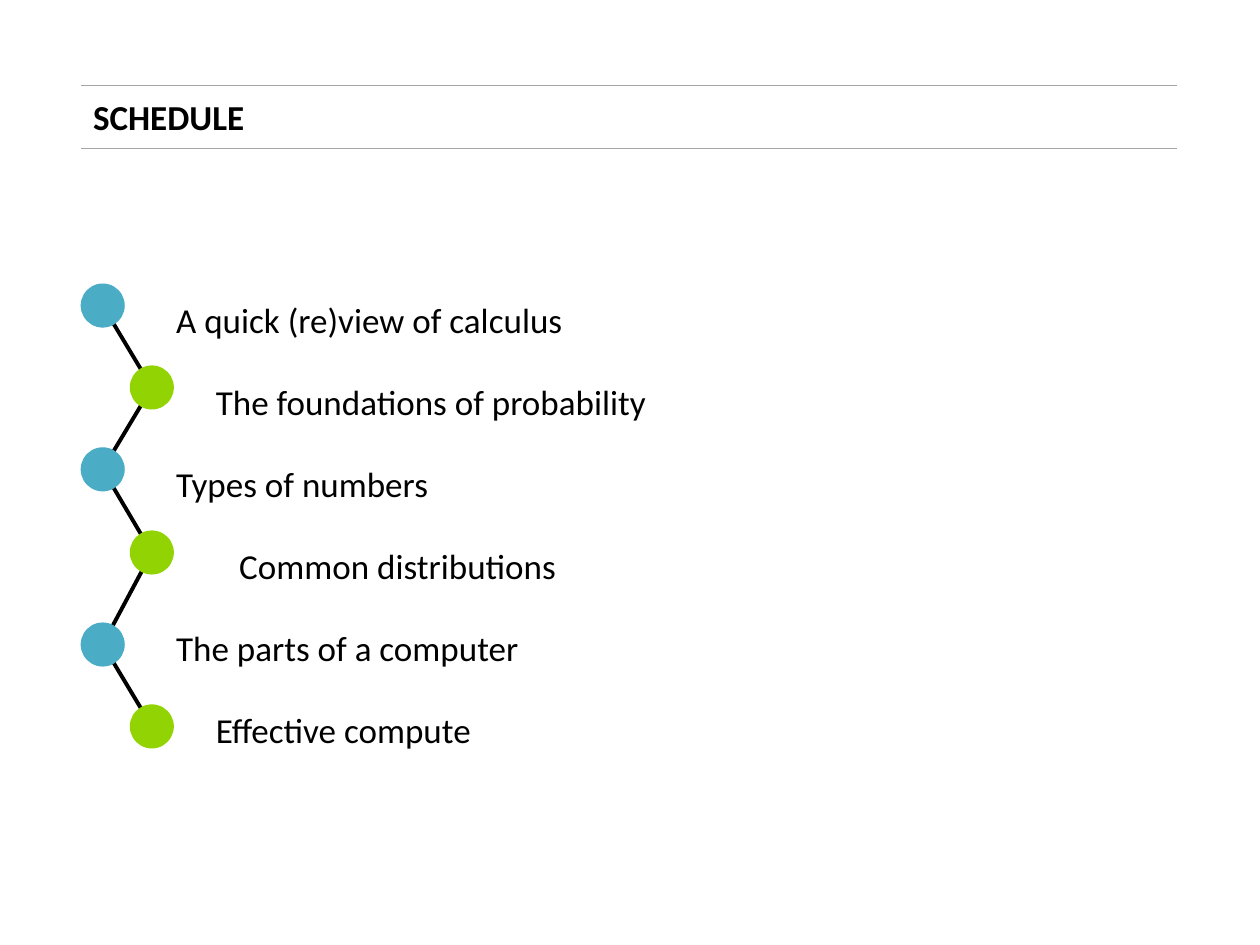
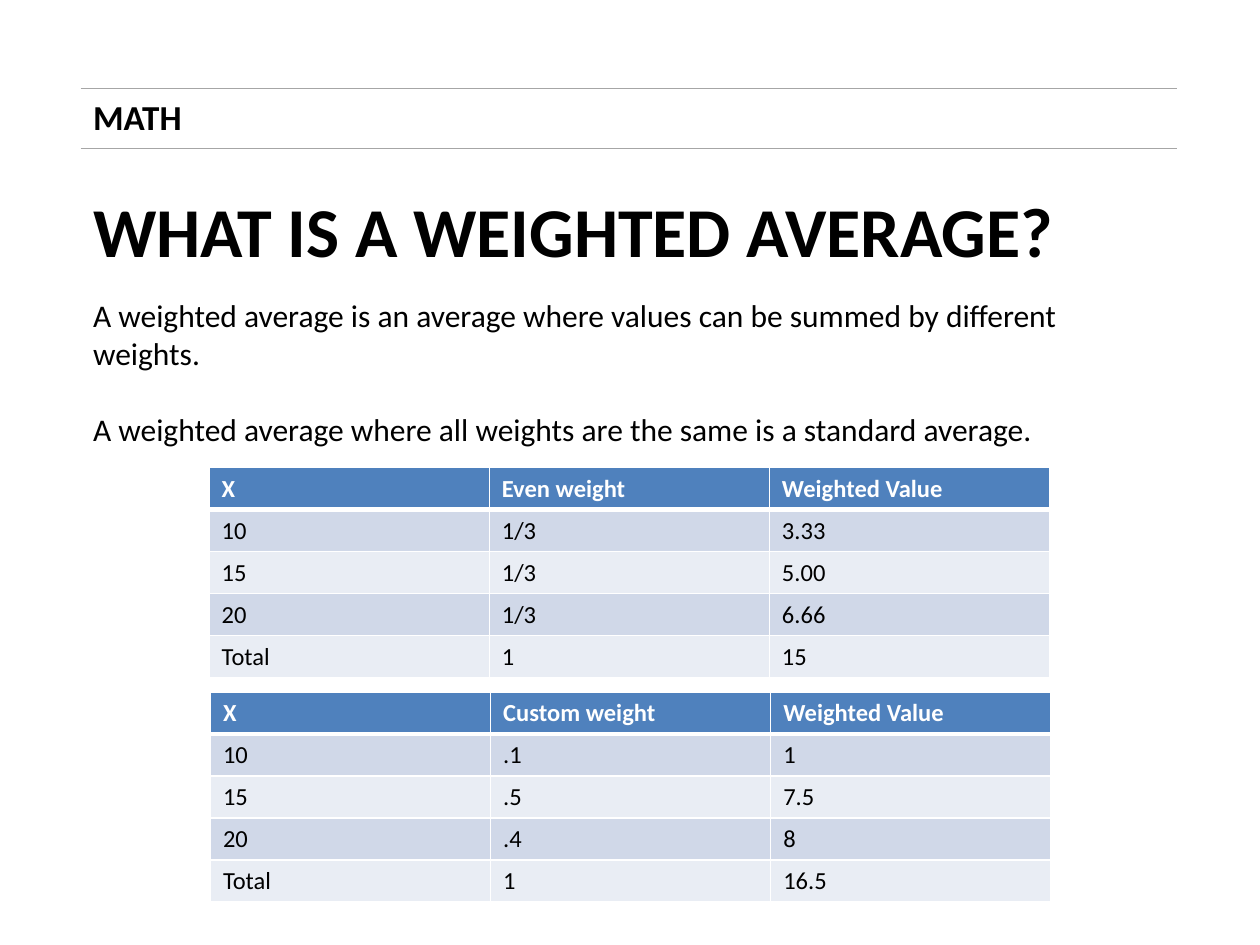
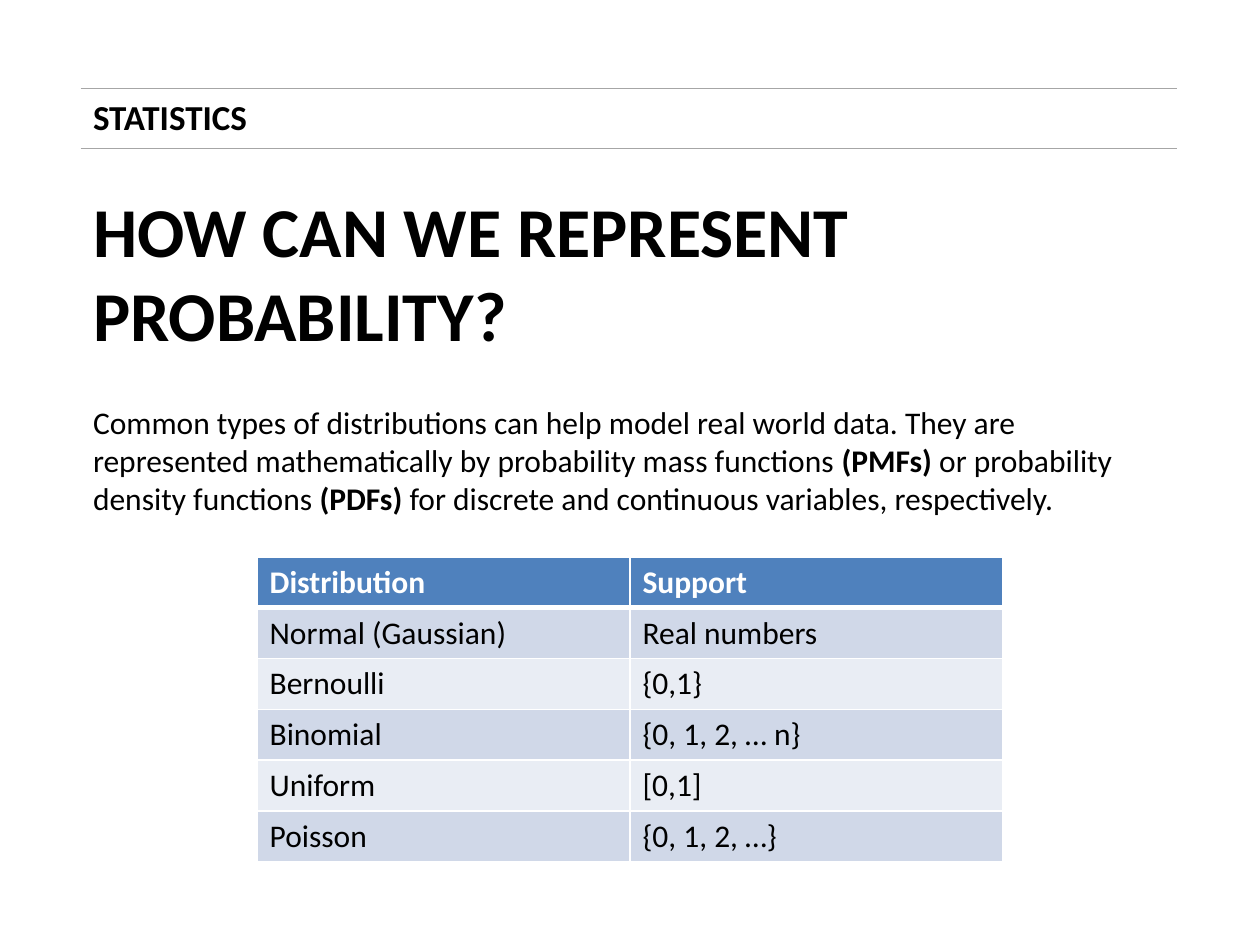
"""Three course slides: a schedule, weighted averages and distributions."""
from itertools import pairwise

from lxml import etree
from pptx import Presentation
from pptx.dml.color import RGBColor
from pptx.enum.shapes import MSO_CONNECTOR, MSO_SHAPE
from pptx.enum.text import MSO_AUTO_SIZE, PP_ALIGN
from pptx.oxml.ns import qn
from pptx.util import Inches, Pt

STRAIGHT = MSO_CONNECTOR.STRAIGHT
OVAL = MSO_SHAPE.OVAL
LEFT = PP_ALIGN.LEFT
GROW, FIXED = MSO_AUTO_SIZE.SHAPE_TO_FIT_TEXT, MSO_AUTO_SIZE.NONE

FONT = "Calibri"
BLACK, WHITE, GREY = "000000", "FFFFFF", "A6A6A6"
TEAL, GREEN = "4BACC6", "92D403"
HEAD_FILL, BAND_FILLS = "4F81BD", ("D0D8E8", "E9EDF4")

# The slide is a grid of 100 columns by 75 rows of square cells.
COLUMNS, ROWS = 100, 75
MARGIN, RIGHT_EDGE = 6.4, 93.4
BODY_WIDTH = 85.9
BEAD = 3.5


def cells(count):
    """Turn a number of grid cells into a length."""
    return Inches(count / 10)


def colour(code):
    """Turn a hex string into a colour."""
    return RGBColor.from_string(code)


def style_font(font, size, bold=False, code=BLACK):
    """Set the look of a paragraph's font."""
    font.name, font.size, font.bold = FONT, Pt(size), bold
    font.color.rgb = colour(code)


def add_line(page, start, end, code, width):
    """Draw a plain straight line between two grid points."""
    line = page.shapes.add_connector(STRAIGHT, *map(cells, start + end))
    line.line.color.rgb = colour(code)
    line.line.width = Pt(width)
    properties = line._element.find(qn("p:spPr"))
    etree.SubElement(properties, qn("a:effectLst"))


def add_text(page, place, paragraphs, size, bold=False, wrap=True, fit=GROW):
    """Add a text box; a paragraph is a string or a list of (text, bold)."""
    box = page.shapes.add_textbox(*map(cells, place))
    frame = box.text_frame
    frame.word_wrap, frame.auto_size = wrap, fit
    for index, content in enumerate(paragraphs):
        para = frame.paragraphs[0] if index == 0 else frame.add_paragraph()
        para.alignment = LEFT
        style_font(para.font, size, bold)
        if isinstance(content, str):
            para.text = content
            continue
        for text, strong in content:
            span = para.add_run()
            span.text, span.font.bold = text, strong
    return frame


def add_page(deck, section, label_width, top_rule=7):
    """Add a blank slide with its section label between two rules."""
    page = deck.slides.add_slide(deck.slide_layouts[6])
    for row in (top_rule, 11.8):
        add_line(page, (MARGIN, row), (RIGHT_EDGE, row), GREY, 0.75)
    add_text(page, (MARGIN, 7.1, label_width, 4.4), [section], 20, True, False)
    return page


def add_headline(page, lines, width, height):
    """Add the large question that opens a slide."""
    add_text(page, (MARGIN, 14.4, width, height), lines, 40, True, False)


def add_border(cell, side, width):
    """Draw one white edge of a table cell."""
    edge = etree.SubElement(cell._tc.get_or_add_tcPr(), qn(f"a:ln{side}"),
                            w=str(Pt(width)))
    fill = etree.SubElement(edge, qn("a:solidFill"))
    etree.SubElement(fill, qn("a:srgbClr"), val=WHITE)


def add_table(page, place, rows, size):
    """Add a banded table whose first row is the heading."""
    table = page.shapes.add_table(len(rows), len(rows[0]),
                                  *map(cells, place)).table
    for row, values in enumerate(rows):
        heading = row == 0
        for column, value in enumerate(values):
            cell = table.cell(row, column)
            edges = {"L": 1, "R": 1, "T": 3 if row == 1 else 1,
                     "B": 3 if heading else 1}
            for side, width in edges.items():
                add_border(cell, side, width)
            cell.fill.solid()
            cell.fill.fore_color.rgb = colour(
                HEAD_FILL if heading else BAND_FILLS[(row - 1) % 2])
            cell.text = value
            style_font(cell.text_frame.paragraphs[0].font, size, heading,
                       WHITE if heading else BLACK)


def add_bead(page, centre, code):
    """Draw one round bead of the zigzag."""
    left, top = (middle - BEAD / 2 for middle in centre)
    bead = page.shapes.add_shape(OVAL, *map(cells, (left, top, BEAD, BEAD)))
    bead.shadow.inherit = False
    bead.fill.solid()
    bead.fill.fore_color.rgb = colour(code)
    bead.line.fill.background()


def build_schedule(deck):
    """Build the schedule: topics beside a zigzag of beads."""
    page = add_page(deck, "SCHEDULE", 14.1, top_rule=6.8)
    topics = [("A quick (re)view of calculus", 0),
              ("The foundations of probability", 3.15),
              ("Types of numbers", 0),
              ("Common distributions", 5),
              ("The parts of a computer", 0),
              ("Effective compute", 3.15)]
    frame = add_text(page, (13, 20.9, 78, 51), [name for name, _ in topics],
                     20, fit=FIXED)
    for para, (_, indent) in zip(frame.paragraphs, topics):
        para.line_spacing, para.space_before = 1.7, Pt(6)
        if indent:
            para._p.get_or_add_pPr().set("marL", str(cells(indent)))

    heights = (24.25, 30.75, 37.25, 43.85, 51.15, 57.65)
    centres = [((8.15, 12.05)[index % 2], height)
               for index, height in enumerate(heights)]
    for start, end in pairwise(centres):
        add_line(page, start, end, BLACK, 2.25)
    for index, centre in enumerate(centres):
        add_bead(page, centre, (TEAL, GREEN)[index % 2])


def build_averages(deck):
    """Build the weighted average slide with its two tables."""
    page = add_page(deck, "MATH", 9.1)
    add_headline(page, ["WHAT IS A WEIGHTED AVERAGE?"], 79, 7.7)
    frame = add_text(page, (MARGIN, 23, BODY_WIDTH, 13.1), [
        "A weighted average is an average where values can be summed by "
        "different weights.",
        "A weighted average where all weights are the same is a standard "
        "average."], 18)
    frame.paragraphs[1].space_before = Pt(22)

    numbers = ("10", "15", "20", "Total")
    tables = [
        ((16.7, 54.9), "Custom weight", (".1", ".5", ".4", "1"),
         ("1", "7.5", "8", "16.5")),
        ((16.6, 37.1), "Even weight", ("1/3", "1/3", "1/3", "1"),
         ("3.33", "5.00", "6.66", "15"))]
    for corner, heading, weights, values in tables:
        rows = [("X", heading, "Weighted Value"),
                *zip(numbers, weights, values)]
        add_table(page, corner + (66.7, 16.7), rows, 14)


def build_distributions(deck):
    """Build the slide on common distributions."""
    page = add_page(deck, "STATISTICS", 14.4)
    add_headline(page, ["HOW CAN WE REPRESENT", "PROBABILITY?"], 62.6, 14.5)
    add_text(page, (MARGIN, 31.5, BODY_WIDTH, 10.1), [[
        ("Common types of distributions can help model real world data. They "
         "are represented mathematically by probability mass functions ",
         False),
        ("(PMFs) ", True),
        ("or probability density functions ", False),
        ("(PDFs) ", True),
        ("for discrete and continuous variables, respectively.", False)]], 18)
    add_table(page, (20.4, 44.2, 59.2, 24.2), [
        ("Distribution", "Support"),
        ("Normal (Gaussian)", "Real numbers"),
        ("Bernoulli", "{0,1}"),
        ("Binomial", "{0, 1, 2, … n}"),
        ("Uniform", "[0,1]"),
        ("Poisson", "{0, 1, 2, …}")], 18)


def main():
    """Build the deck and save it."""
    deck = Presentation()
    deck.slide_width, deck.slide_height = cells(COLUMNS), cells(ROWS)
    build_schedule(deck)
    build_averages(deck)
    build_distributions(deck)
    deck.save("out.pptx")


main()
